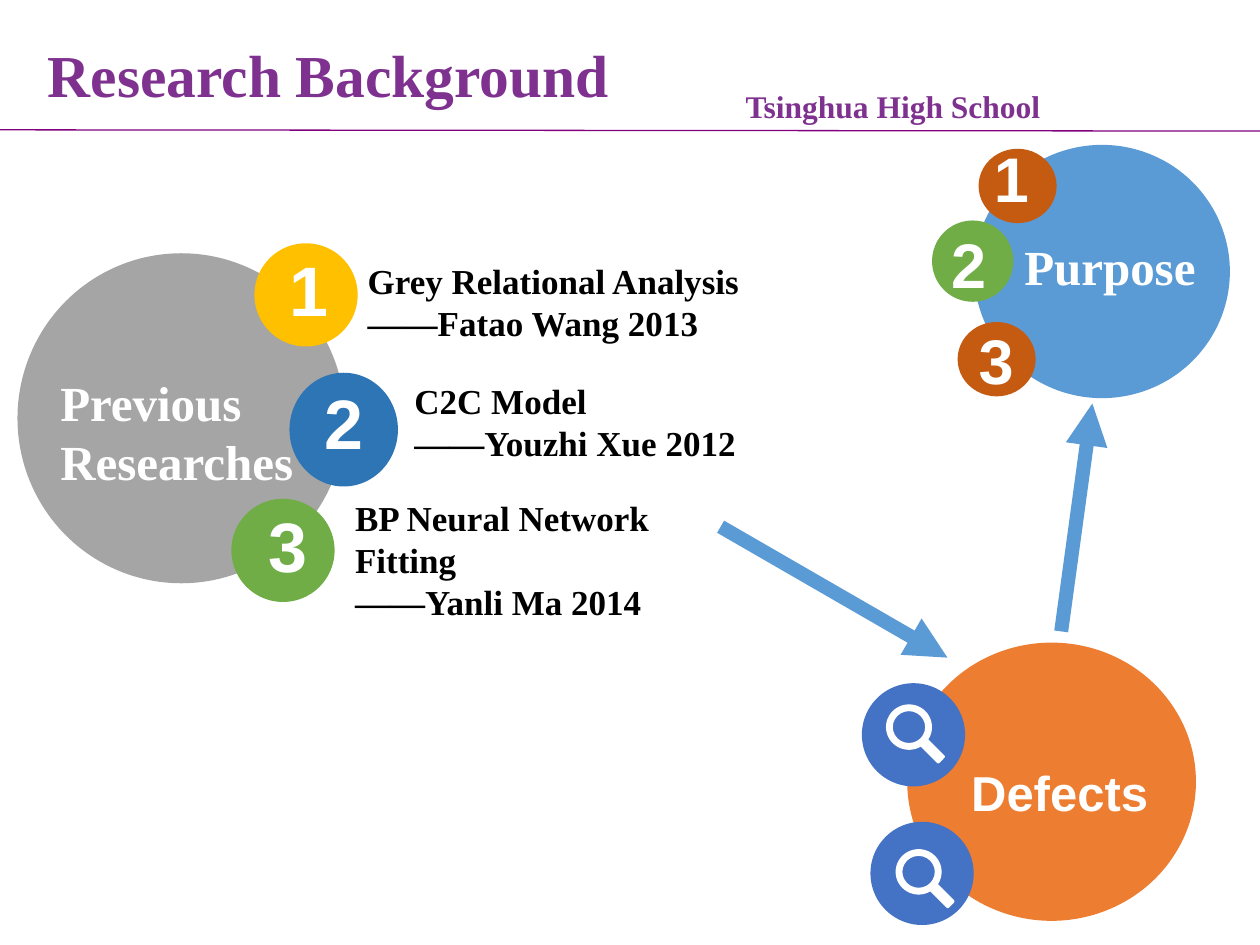
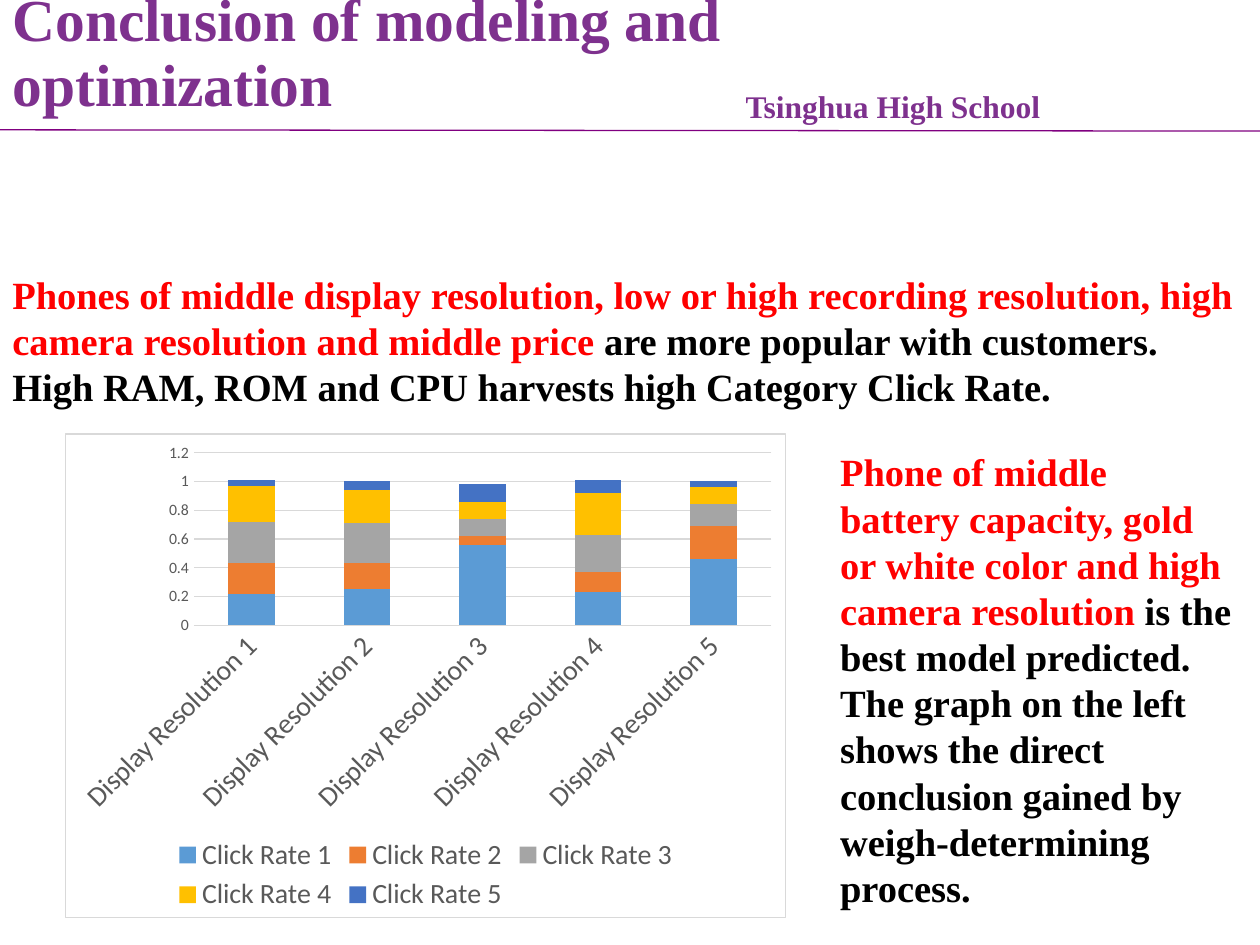
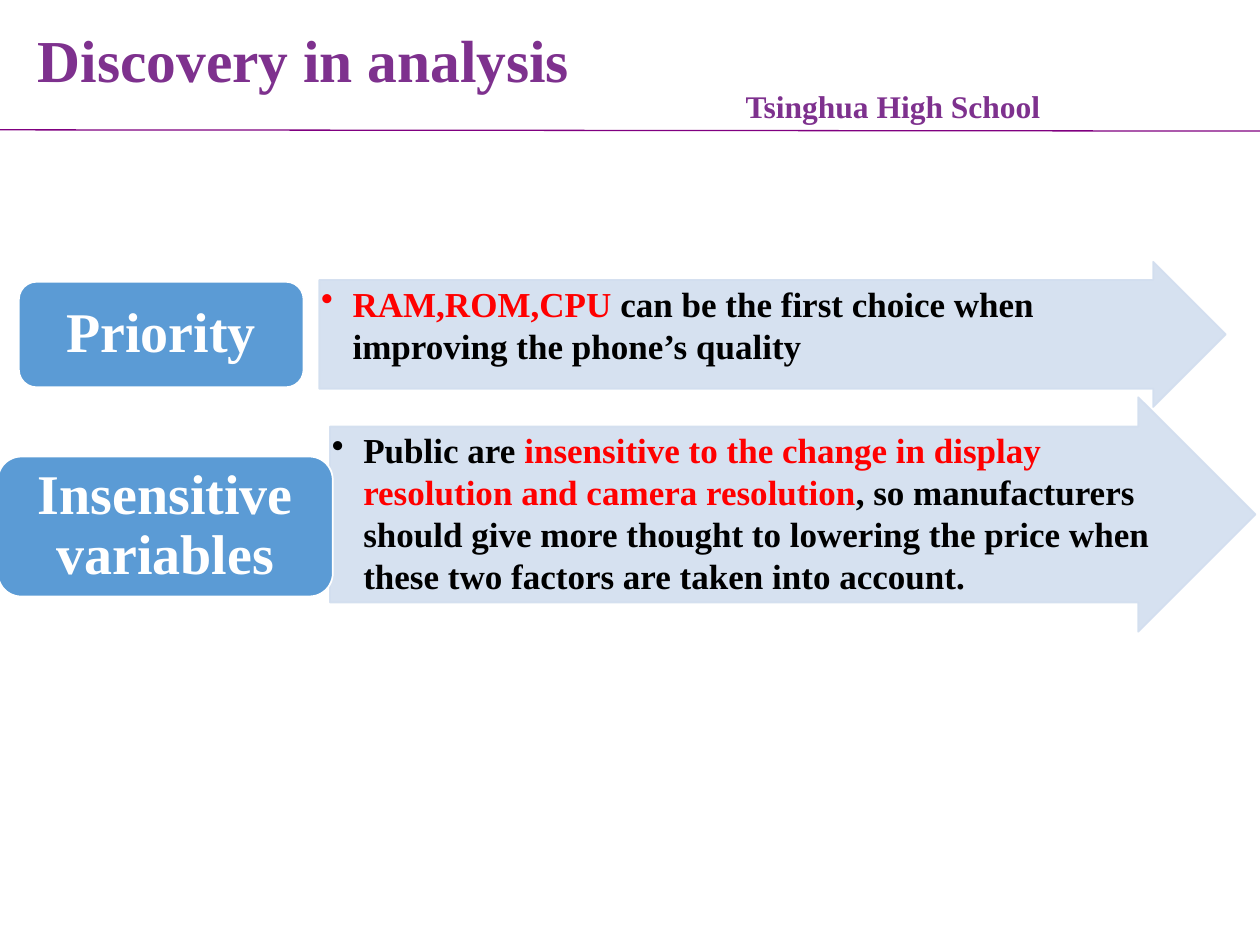
import pptx
import pptx.chart.data
import pptx.dml.color
import pptx.enum.chart
import pptx.enum.shapes
import pptx.enum.text
import pptx.oxml
import pptx.oxml.ns
import pptx.oxml.xmlchemy
import pptx.util

Pt = pptx.util.Pt
RGB = pptx.dml.color.RGBColor
SHAPE = pptx.enum.shapes.MSO_SHAPE
ALIGN = pptx.enum.text.PP_ALIGN
ANCHOR = pptx.enum.text.MSO_ANCHOR
qn = pptx.oxml.ns.qn
new_element = pptx.oxml.xmlchemy.OxmlElement

PURPLE = RGB(0x7E, 0x31, 0x8E)
RULE_PURPLE = RGB(0x80, 0x00, 0x80)
BLACK = RGB(0x00, 0x00, 0x00)
WHITE = RGB(0xFF, 0xFF, 0xFF)
RED = RGB(0xFF, 0x00, 0x00)
BLUE = RGB(0x5B, 0x9B, 0xD5)
PALE_BLUE = RGB(0xD2, 0xDE, 0xEF)
MID_BLUE = RGB(0x2E, 0x75, 0xB6)
INDIGO = RGB(0x44, 0x72, 0xC4)
ORANGE = RGB(0xED, 0x7D, 0x31)
RUST = RGB(0xC5, 0x5A, 0x11)
GREY = RGB(0xA5, 0xA5, 0xA5)
YELLOW = RGB(0xFF, 0xC0, 0x00)
GREEN = RGB(0x70, 0xAD, 0x47)
CHART_TEXT = RGB(0x59, 0x59, 0x59)
CHART_LINE = RGB(0xD9, 0xD9, 0xD9)

SERIF, SANS, CHART_FONT = "Times New Roman", "Arial", "Calibri"
SCHOOL = "Tsinghua High School"

# Boxes are (left, top, width, height) in points.
TOPICS = [
    ("Previous Researches", SERIF, (27.4, 209.5, 172, 75), GREY, (10, 144.7, 187.2, 188.6)),
    ("Defects", SANS, (547.9, 432, 146.2, 41), ORANGE, (518.4, 367.2, 165, 159)),
    ("Purpose", SERIF, (578.2, 131.8, 135.4, 41), BLUE, (556.6, 82.8, 146.2, 144.7)),
]
# Disc colour, disc box, left and top of the numeral.
RESEARCH_DISCS = [
    (YELLOW, (145.4, 139, 59, 59), (158.4, 137.5)),
    (MID_BLUE, (165.4, 213, 62, 65), (178.6, 213.1)),
    (GREEN, (132.2, 285, 59, 59), (146.2, 283.7)),
]
PURPOSE_DISCS = [
    (RUST, (559.2, 85, 44.6, 42.5), (560.9, 76.3)),
    (GREEN, (532.6, 126, 46.5, 46.5), (536.4, 125.3)),
    (RUST, (547.2, 184, 44.6, 42.5), (552.2, 180)),
]
RESEARCHES = [
    (["Grey Relational Analysis", "——Fatao Wang 2013"], (203, 144.7, 298, 55.4)),
    (["C2C Model", "——Youzhi Xue 2012"], (229.7, 213.1, 257.8, 55.4)),
    (["BP Neural Network Fitting", "——Yanli Ma 2014"], (195.8, 280.1, 224.6, 80)),
]
# Left and top of each disc and of the magnifier on it.
SEARCH_MARKS = [((492.5, 390.4), (506.3, 402.5)), ((497.4, 469.6), (511.8, 485.2))]
FLOW_ARROWS = [((411.8, 301), (541.4, 375.8)), ((606.4, 360.8), (624.2, 230.6))]

CONCLUSIONS = [
    ((0, 151.2, 720, 87), [
        ("Phones of middle display resolution, low or high recording resolution, "
         "high camera resolution and middle price", RED),
        (" are more popular with customers. High RAM, ROM and CPU harvests high "
         "Category Click Rate.", BLACK)]),
    ((473, 252.7, 238.3, 273.6), [
        ("Phone of middle battery capacity, gold or white color and high camera "
         "resolution ", RED),
        ("is the best model predicted. The graph on the left shows the direct "
         "conclusion gained by weigh-determining process.", BLACK)]),
]
CHART_BOX = (36.9, 247.6, 412.4, 277)
CLICK_RATES = [
    (BLUE, (0.22, 0.25, 0.56, 0.23, 0.46)),
    (ORANGE, (0.21, 0.18, 0.06, 0.14, 0.23)),
    (GREY, (0.29, 0.28, 0.12, 0.26, 0.15)),
    (YELLOW, (0.25, 0.23, 0.12, 0.29, 0.12)),
    (INDIGO, (0.04, 0.06, 0.12, 0.09, 0.04)),
]

# Heading, heading box, arrow box, detail box, detail runs.
FINDINGS = [
    ("Priority", (10.8, 161, 162.7, 60.3), (182.5, 149.6, 518, 83),
     (182.5, 160.4, 486.7, 62),
     [("RAM,ROM,CPU ", RED),
      ("can be the first choice when improving the phone’s quality", BLACK)]),
    ("Insensitive variables", (-1.2, 260.9, 191.4, 80), (188.6, 227, 528.9, 134),
     (188.6, 244, 478.8, 100),
     [("Public are ", BLACK),
      ("insensitive to the change in display resolution and camera resolution", RED),
      (", so manufacturers should give more thought to lowering the price when "
       "these two factors are taken into account.", BLACK)]),
]


def set_format(target, **values):
    for name, value in values.items():
        setattr(target, name, value)


def points(values):
    return [Pt(value) for value in values]


def write(frame, paragraphs, size, font=SERIF, paragraph_format=None, **frame_format):
    """Fill a text frame; each paragraph is a list of (text, colour) runs."""
    set_format(frame, **{"word_wrap": True, **frame_format})
    for index, runs in enumerate(paragraphs):
        paragraph = frame.add_paragraph() if index else frame.paragraphs[0]
        set_format(paragraph, **(paragraph_format or {}))
        for text, colour in runs:
            run = paragraph.add_run()
            run.text = text
            set_format(run.font, name=font, size=Pt(size), bold=True)
            run.font.color.rgb = colour


def add_text(slide, box, paragraphs, size, font=SERIF, **frame_format):
    frame = slide.shapes.add_textbox(*points(box)).text_frame
    write(frame, paragraphs, size, font, **frame_format)
    return frame


def add_filled(slide, kind, box, colour, outline=None):
    shape = slide.shapes.add_shape(kind, *points(box))
    shape.shadow.inherit = False
    shape.fill.solid()
    shape.fill.fore_color.rgb = colour
    if outline is None:
        shape.line.fill.background()
    else:
        shape.line.color.rgb = outline
        shape.line.width = Pt(1)
    return shape


def add_line(slide, start, end, colour, width, arrow=False):
    line = slide.shapes.add_connector(
        pptx.enum.shapes.MSO_CONNECTOR.STRAIGHT, *points(start + end))
    line.line.color.rgb = colour
    line.line.width = Pt(width)
    properties = line._element.spPr
    if arrow:
        head = new_element("a:tailEnd")
        head.set("type", "triangle")
        properties.find(qn("a:ln")).append(head)
    properties.append(new_element("a:effectLst"))


def start_slide(deck, title, box):
    """Add a slide with the shared header and a title placed in box."""
    slide = deck.slides.add_slide(deck.slide_layouts[5])
    holder = slide.shapes.title
    set_format(holder, **dict(zip(("left", "top", "width", "height"), points(box))))
    write(holder.text_frame, [[(title, PURPLE)]], 34,
          paragraph_format={"alignment": ALIGN.LEFT, "line_spacing": 0.9},
          vertical_anchor=ANCHOR.MIDDLE, auto_size=pptx.enum.text.MSO_AUTO_SIZE.NONE)
    add_line(slide, (0, 74.2), (720, 74.9), RULE_PURPLE, 0.75)
    add_text(slide, (419, 46.1, 184.3, 28.8), [[(SCHOOL, PURPLE)]], 18, word_wrap=False)
    return slide


def add_numbered_discs(slide, discs, size):
    for number, (colour, box, corner) in enumerate(discs, 1):
        add_filled(slide, SHAPE.OVAL, box, colour)
        add_text(slide, corner + (42, 55), [[(str(number), WHITE)]], size, SANS)


def add_magnifier(slide, left, top):
    lens = add_filled(slide, SHAPE.DONUT, (left, top, 26.3, 26), WHITE)
    lens.adjustments[0] = 0.15
    handle = add_filled(slide, SHAPE.ROUNDED_RECTANGLE,
                        (left + 18.3, top + 23.4, 16, 6), WHITE)
    handle.rotation = 45


def build_background(deck):
    slide = start_slide(deck, "Research Background", (20.2, 22.3, 338.4, 44.6))
    for start, end in FLOW_ARROWS:
        add_line(slide, start, end, BLUE, 8, arrow=True)
    for _, _, _, colour, circle in TOPICS:
        add_filled(slide, SHAPE.OVAL, circle, colour)
    for disc, magnifier in SEARCH_MARKS:
        add_filled(slide, SHAPE.OVAL, disc + (59, 59), INDIGO)
        add_magnifier(slide, *magnifier)
    add_numbered_discs(slide, RESEARCH_DISCS, 40)
    add_numbered_discs(slide, PURPOSE_DISCS, 36)
    for lines, box in RESEARCHES:
        add_text(slide, box, [[(line, BLACK)] for line in lines], 20)
    for topic, font, box, _, _ in TOPICS:
        add_text(slide, box, [[(topic, WHITE)]], 28, font)


def frame_chart(chart):
    """Give the chart area a white fill and a thin grey border."""
    area = pptx.oxml.parse_xml(
        f'<c:spPr {pptx.oxml.ns.nsdecls("c", "a")}>'
        f'<a:solidFill><a:srgbClr val="{WHITE}"/></a:solidFill>'
        f'<a:ln w="{Pt(0.75)}"><a:solidFill><a:srgbClr val="{CHART_LINE}"/></a:solidFill>'
        '</a:ln></c:spPr>')
    chart._chartSpace.find(qn("c:txPr")).addprevious(area)


def set_font(font, size, colour=CHART_TEXT):
    set_format(font, name=CHART_FONT, size=Pt(size), bold=False)
    font.color.rgb = colour


def add_click_chart(slide):
    data = pptx.chart.data.CategoryChartData()
    data.categories = [f"Display Resolution {n}" for n in range(1, 6)]
    for number, (_, rates) in enumerate(CLICK_RATES, 1):
        data.add_series(f"Click Rate {number}", rates)
    chart = slide.shapes.add_chart(
        pptx.enum.chart.XL_CHART_TYPE.COLUMN_STACKED, *points(CHART_BOX), data).chart
    set_font(chart.font, 10, BLACK)
    frame_chart(chart)
    set_format(chart, has_title=False, has_legend=True)
    set_format(chart.legend, position=pptx.enum.chart.XL_LEGEND_POSITION.BOTTOM,
               include_in_layout=False)
    set_font(chart.legend.font, 16)

    plot = chart.plots[0]
    set_format(plot, gap_width=150, overlap=100, vary_by_categories=False)
    for series, (colour, _) in zip(plot.series, CLICK_RATES):
        series.format.fill.solid()
        series.format.fill.fore_color.rgb = colour

    resolutions, rates = chart.category_axis, chart.value_axis
    for axis, size in ((resolutions, 16), (rates, 9)):
        set_font(axis.tick_labels.font, size)
        axis.major_tick_mark = pptx.enum.chart.XL_TICK_MARK.NONE
    resolutions._element.find(qn("c:txPr")).find(qn("a:bodyPr")).set("rot", "-2700000")
    set_format(rates, minimum_scale=0, maximum_scale=1.2, major_unit=0.2)
    rates.format.line.fill.background()
    for line in (resolutions.format.line, rates.major_gridlines.format.line):
        line.color.rgb = CHART_LINE
        line.width = Pt(0.75)


def build_conclusion(deck):
    slide = start_slide(deck, "Conclusion of modeling and optimization",
                        (0, -13.7, 584, 90))
    add_click_chart(slide)
    for box, runs in CONCLUSIONS:
        add_text(slide, box, [runs], 22)


def add_bullet(paragraph, indent):
    properties = paragraph._p.get_or_add_pPr()
    properties.set("marL", str(Pt(indent)))
    properties.set("indent", str(Pt(-indent)))
    bullet = new_element("a:buChar")
    bullet.set("char", "•")
    properties.append(bullet)


def make_translucent(shape, percent):
    for colour in shape._element.spPr.iter(qn("a:srgbClr")):
        alpha = new_element("a:alpha")
        alpha.set("val", str(percent * 1000))
        colour.append(alpha)


def margins(horizontal, vertical):
    return {"margin_left": Pt(horizontal), "margin_right": Pt(horizontal),
            "margin_top": Pt(vertical), "margin_bottom": Pt(vertical)}


def build_discovery(deck):
    slide = start_slide(deck, "Discovery in analysis", (14.4, -8.6, 648, 90))
    for heading, heading_box, arrow_box, detail_box, detail in FINDINGS:
        arrow = add_filled(slide, SHAPE.RIGHT_ARROW, arrow_box, PALE_BLUE, PALE_BLUE)
        arrow.adjustments[0] = 0.75
        make_translucent(arrow, 90)
        frame = add_text(slide, detail_box, [detail], 20, **margins(1, 1))
        add_bullet(frame.paragraphs[0], 18)
        label = add_filled(slide, SHAPE.ROUNDED_RECTANGLE, heading_box, BLUE, WHITE)
        write(label.text_frame, [[(heading, WHITE)]], 32,
              paragraph_format={"alignment": ALIGN.CENTER, "line_spacing": 0.9},
              vertical_anchor=ANCHOR.MIDDLE, **margins(9.4, 5))


def main():
    deck = pptx.Presentation()
    set_format(deck, slide_width=Pt(720), slide_height=Pt(540))
    build_background(deck)
    build_conclusion(deck)
    build_discovery(deck)
    deck.save("out.pptx")


if __name__ == "__main__":
    main()
